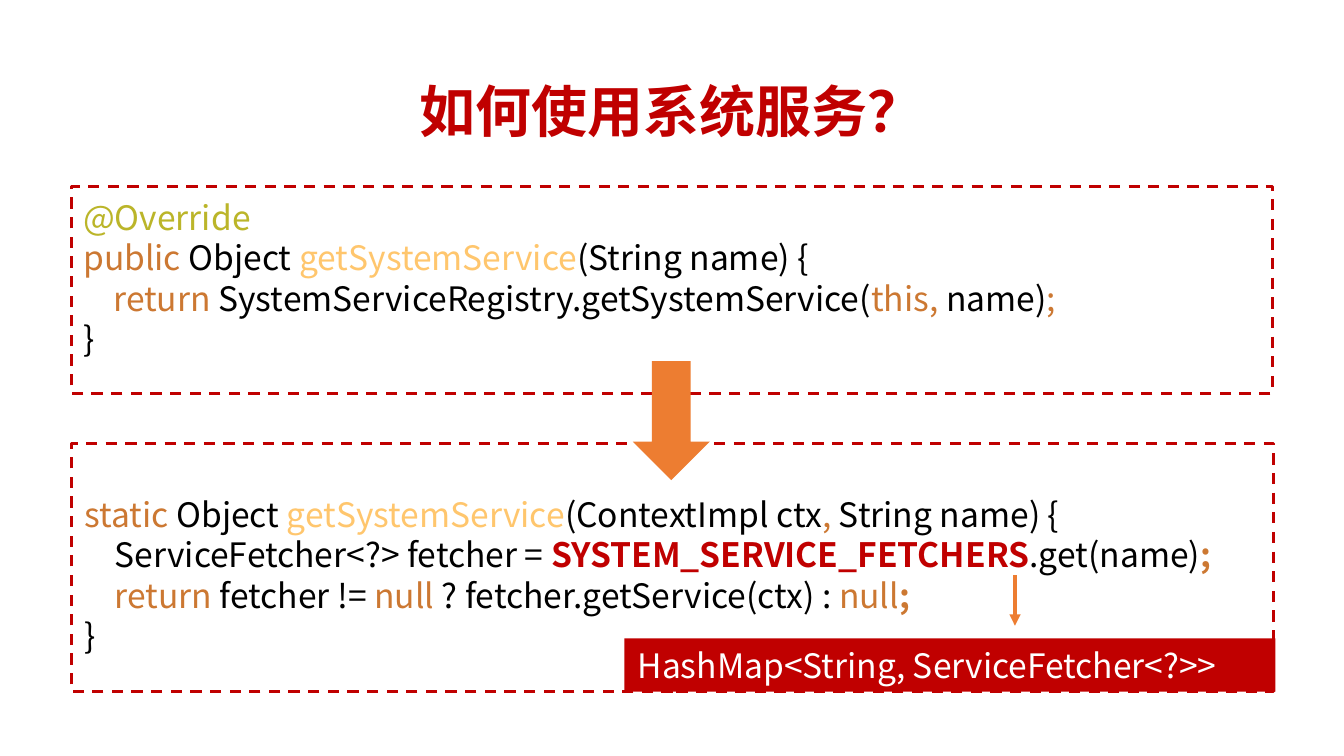
from typing import NamedTuple

import pptx
import pptx.dml.color
import pptx.enum.dml
import pptx.enum.shapes
import pptx.enum.text
import pptx.oxml
import pptx.oxml.ns
import pptx.util

PX = 9525  # EMU per px, 96 px to the inch
FONT = "Noto Sans CJK SC"
COLORS = {
    "red": "C00000",
    "orange": "ED7D31",
    "keyword": "CC7832",
    "method": "FFC66D",
    "annotation": "BBB529",
    "plain": "000000",
    "white": "FFFFFF",
}
SHAPES = pptx.enum.shapes.MSO_SHAPE


class Box(NamedTuple):
    x: int
    y: int
    w: int
    h: int

    def emu(self) -> list[int]:
        return [v * PX for v in self]


class Token(NamedTuple):
    text: str
    color: str = "plain"
    bold: bool = False


class CodePanel(NamedTuple):
    text_box: Box
    frame: Box
    lines: list[list[Token]]


PANELS = [
    CodePanel(Box(51, 348, 858, 126), Box(51, 317, 859, 177), [
        [Token("static ", "keyword"), Token("Object "),
         Token("getSystemService", "method"), Token("(ContextImpl ctx"),
         Token(", ", "keyword"), Token("String name) {")],
        [Token("    ServiceFetcher<?> fetcher = "),
         Token("SYSTEM_SERVICE_FETCHERS", "red", True),
         Token(".get(name)"), Token(";", "keyword", True)],
        [Token("    return ", "keyword"), Token("fetcher != "),
         Token("null ", "keyword"), Token("? fetcher.getService(ctx) : "),
         Token("null", "keyword"), Token(";", "keyword", True)],
        [Token("}")],
    ]),
    CodePanel(Box(50, 136, 861, 126), Box(51, 133, 858, 148), [
        [Token("@Override", "annotation")],
        [Token("public ", "keyword"), Token("Object "),
         Token("getSystemService", "method"), Token("(String name) {")],
        [Token("    return ", "keyword"),
         Token("SystemServiceRegistry.getSystemService("),
         Token("this, ", "keyword"), Token("name)"), Token(";", "keyword")],
        [Token("}")],
    ]),
]


def rgb(name: str) -> pptx.dml.color.RGBColor:
    return pptx.dml.color.RGBColor.from_string(COLORS[name])


def add_token(p, token: Token, size: int = 18) -> None:
    r = p.add_run()
    r.text = token.text
    r.font.size = pptx.util.Pt(size)
    r.font.bold = token.bold
    r.font.color.rgb = rgb(token.color)
    r.font.name = FONT
    ea = pptx.oxml.ns.qn("a:ea")
    r.font._element.append(r.font._element.makeelement(ea, {"typeface": FONT}))


def write_lines(tf, lines: list[list[Token]]) -> None:
    """Write the lines as one paragraph with line breaks."""
    tf.word_wrap = True
    p = tf.paragraphs[0]
    p.alignment = pptx.enum.text.PP_ALIGN.LEFT
    p.line_spacing = pptx.util.Pt(21.6)
    for i, line in enumerate(lines):
        if i:
            p.add_line_break()
        for token in line:
            add_token(p, token)


def add_title(slide, box: Box, text: str) -> None:
    sp = slide.shapes.title
    sp.left, sp.top, sp.width, sp.height = box.emu()
    tf = sp.text_frame
    tf.word_wrap = True
    tf.auto_size = pptx.enum.text.MSO_AUTO_SIZE.NONE
    tf.vertical_anchor = pptx.enum.text.MSO_ANCHOR.MIDDLE
    p = tf.paragraphs[0]
    p.alignment = pptx.enum.text.PP_ALIGN.CENTER
    p.line_spacing = 0.9
    add_token(p, Token(text, "red", True), 30)


def add_filled(slide, kind, box: Box, color: str):
    sp = slide.shapes.add_shape(kind, *box.emu())
    sp.shadow.inherit = False
    sp.fill.solid()
    sp.fill.fore_color.rgb = rgb(color)
    sp.line.fill.background()
    return sp


def add_dashed_frame(slide, box: Box) -> None:
    sp = slide.shapes.add_shape(SHAPES.RECTANGLE, *box.emu())
    sp.shadow.inherit = False
    sp.fill.background()
    sp.line.color.rgb = rgb("red")
    sp.line.width = pptx.util.Pt(1.5)
    sp.line.dash_style = pptx.enum.dml.MSO_LINE.DASH


def add_panel(slide, panel: CodePanel) -> None:
    sp = slide.shapes.add_textbox(*panel.text_box.emu())
    write_lines(sp.text_frame, panel.lines)
    add_dashed_frame(slide, panel.frame)


def add_pointer(slide, x: int, top: int, bottom: int) -> None:
    """Draw a thin vertical arrow pointing down."""
    cxn = slide.shapes.add_connector(
        pptx.enum.shapes.MSO_CONNECTOR.STRAIGHT, x * PX, top * PX, x * PX, bottom * PX)
    cxn.line.color.rgb = rgb("orange")
    cxn.line.width = pptx.util.Pt(2)
    qn = pptx.oxml.ns.qn
    ln = cxn.line._get_or_add_ln()
    ln.append(ln.makeelement(qn("a:tailEnd"), {"type": "triangle"}))
    sp_pr = cxn._element.spPr
    sp_pr.append(sp_pr.makeelement(qn("a:effectLst"), {}))


def main() -> None:
    prs = pptx.Presentation()
    prs.slide_width, prs.slide_height = 960 * PX, 540 * PX
    slide = prs.slides.add_slide(prs.slide_layouts[5])

    add_title(slide, Box(66, 29, 828, 105), "如何使用系统服务？")
    for panel in PANELS:
        add_panel(slide, panel)

    label = add_filled(slide, SHAPES.RECTANGLE, Box(446, 456, 465, 38), "red")
    write_lines(label.text_frame,
                [[Token("HashMap<String, ServiceFetcher<?>>", "white")]])
    add_filled(slide, SHAPES.DOWN_ARROW, Box(452, 258, 55, 85), "orange")
    add_pointer(slide, 725, 411, 447)

    prs.save("out.pptx")


if __name__ == "__main__":
    main()
